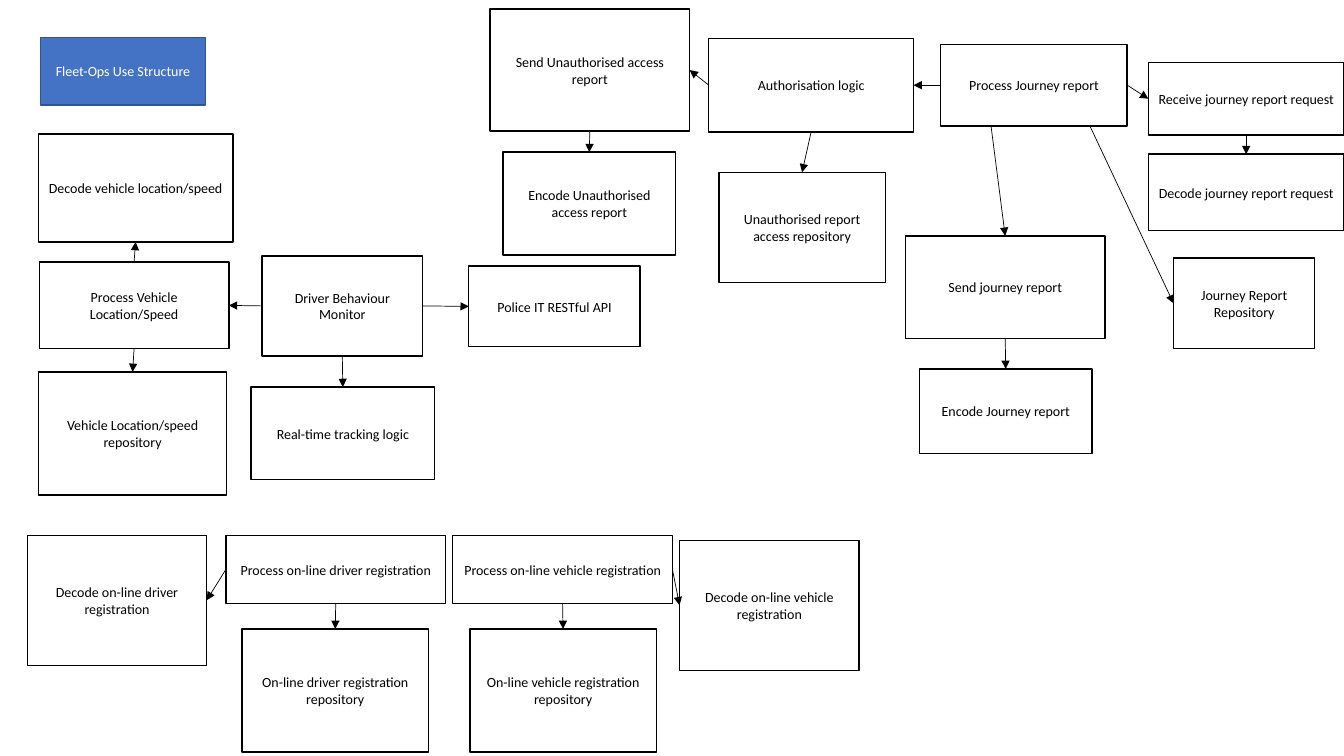
from pptx import Presentation
from pptx.dml.color import RGBColor as Rgb
from pptx.enum.shapes import MSO_CONNECTOR as Line, MSO_SHAPE as Shape
from pptx.enum.text import MSO_ANCHOR as Anchor, MSO_AUTO_SIZE as Auto, PP_ALIGN as Align
from pptx.oxml.ns import qn
from pptx.util import Inches, Pt
from lxml.etree import SubElement as Sub

COLS, ROWS = 1333, 750
TITLE = ("Fleet-Ops Use Structure", 40, 37, 164, 67)
BOXES = {
    "place in": ("Decode vehicle location/speed", 38, 133, 193, 107),
    "place": ("Process Vehicle Location/Speed", 39, 260, 188, 86),
    "place store": ("Vehicle Location/speed repository", 38, 369, 187, 122),
    "monitor": ("Driver Behaviour\nMonitor", 260, 254, 159, 99),
    "track": ("Real-time tracking logic", 249, 384, 182, 92),
    "police": ("Police IT RESTful API", 465, 264, 170, 80),
    "car": ("Process on-line vehicle registration", 449, 531, 218, 68),
    "car store": ("On-line vehicle registration repository", 466, 624, 185, 122),
    "car in": ("Decode on-line vehicle registration", 674, 536, 178, 129),
    "driver": ("Process on-line driver registration", 224, 531, 218, 68),
    "driver store": ("On-line driver registration repository", 240, 624, 185, 122),
    "driver in": ("Decode on-line driver registration", 27, 531, 178, 129),
    "journey": ("Process Journey report", 933, 44, 185, 81),
    "ask": ("Receive journey report request", 1139, 62, 194, 72),
    "ask in": ("Decode journey report request", 1139, 153, 194, 76),
    "send": ("Send journey report", 898, 234, 198, 102),
    "send out": ("Encode Journey report", 912, 366, 171, 84),
    "trip store": ("Journey Report Repository", 1164, 256, 140, 90),
    "access": ("Authorisation logic", 703, 38, 203, 93),
    "access store": ("Unauthorised report access repository", 713, 171, 165, 109),
    "alert": ("Send Unauthorised access report", 486, 9, 198, 121),
    "alert out": ("Encode Unauthorised access report", 499, 151, 171, 102),
}
TOP, LEFT, BASE, RIGHT = range(4)
LINKS = [
    ("place", TOP, "place in", BASE),
    ("place", BASE, "place store", TOP),
    ("monitor", LEFT, "place", RIGHT),
    ("monitor", BASE, "track", TOP),
    ("monitor", RIGHT, "police", LEFT),
    ("car", BASE, "car store", TOP),
    ("car", RIGHT, "car in", LEFT),
    ("driver", BASE, "driver store", TOP),
    ("driver", LEFT, "driver in", RIGHT),
    ("journey", RIGHT, "ask", LEFT),
    ("journey", LEFT, "access", RIGHT),
    ("ask", BASE, "ask in", TOP),
    ("send", BASE, "send out", TOP),
    ("access", BASE, "access store", TOP),
    ("access", LEFT, "alert", RIGHT),
    ("alert", BASE, "alert out", TOP),
]
FORKS = [("journey", 0.27, "send", TOP), ("journey", 0.8, "trip store", LEFT)]
HUES = {"white": "FFFFFF", "black": "000000", "blue": "4472C4", "navy": "325491"}
PLAIN = ("white", "black", "black")
BADGE = ("blue", "navy", "white")
FRAME = {"word_wrap": True, "auto_size": Auto.NONE, "vertical_anchor": Anchor.MIDDLE}
FONT = {"name": "Calibri", "size": Pt(10), "bold": False}

deck = Presentation()
deck.slide_width, deck.slide_height = Inches(13.33), Inches(7.5)
slide = deck.slides.add_slide(deck.slide_layouts[5])
col, row = deck.slide_width / COLS, deck.slide_height / ROWS


def apply(item, values):
    for key, value in values.items():
        setattr(item, key, value)


def hue(name):
    return Rgb.from_string(HUES[name])


def scale(x, y, w, h):
    return [round(n * unit) for n, unit in zip((x, y, w, h), (col, row) * 2)]


def dress(box, text, look):
    fill, edge, ink = map(hue, look)
    box.fill.solid()
    box.fill.fore_color.rgb = fill
    box.line.color.rgb = edge
    box.line.width = Pt(1)
    frame = box.text_frame
    frame.text = text
    apply(frame, FRAME)
    for para in frame.paragraphs:
        para.alignment = Align.CENTER
        for run in para.runs:
            apply(run.font, FONT)
            run.font.color.rgb = ink


def arrow(x=0, y=0):
    link = slide.shapes.add_connector(Line.STRAIGHT, x, y, x, y)
    link.line.color.rgb = hue("black")
    link.line.width = Pt(0.5)
    props = link._element.spPr
    Sub(props.find(qn("a:ln")), qn("a:tailEnd"), type="triangle")
    Sub(props, qn("a:effectLst"))
    return link


title = slide.shapes.title
apply(title, dict(zip(("left", "top", "width", "height"), scale(*TITLE[1:]))))
dress(title, TITLE[0], BADGE)

boxes = {}
for name, (text, *place) in BOXES.items():
    box = slide.shapes.add_shape(Shape.RECTANGLE, *scale(*place))
    box.shadow.inherit = False
    dress(box, text, PLAIN)
    boxes[name] = box

for start, out, end, into in LINKS:
    link = arrow()
    link.begin_connect(boxes[start], out)
    link.end_connect(boxes[end], into)

for start, share, end, into in FORKS:
    box = boxes[start]
    link = arrow(round(box.left + share * box.width), box.top + box.height)
    link.end_connect(boxes[end], into)

deck.save("out.pptx")
